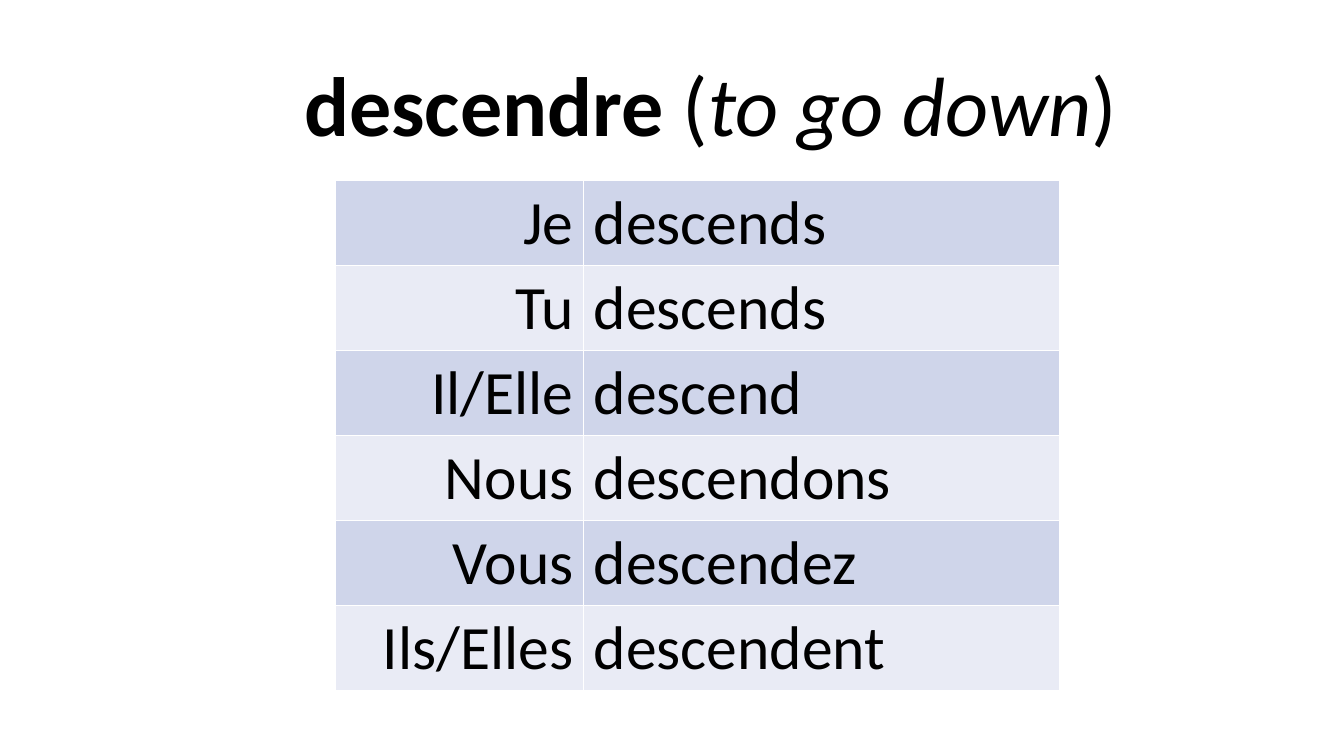
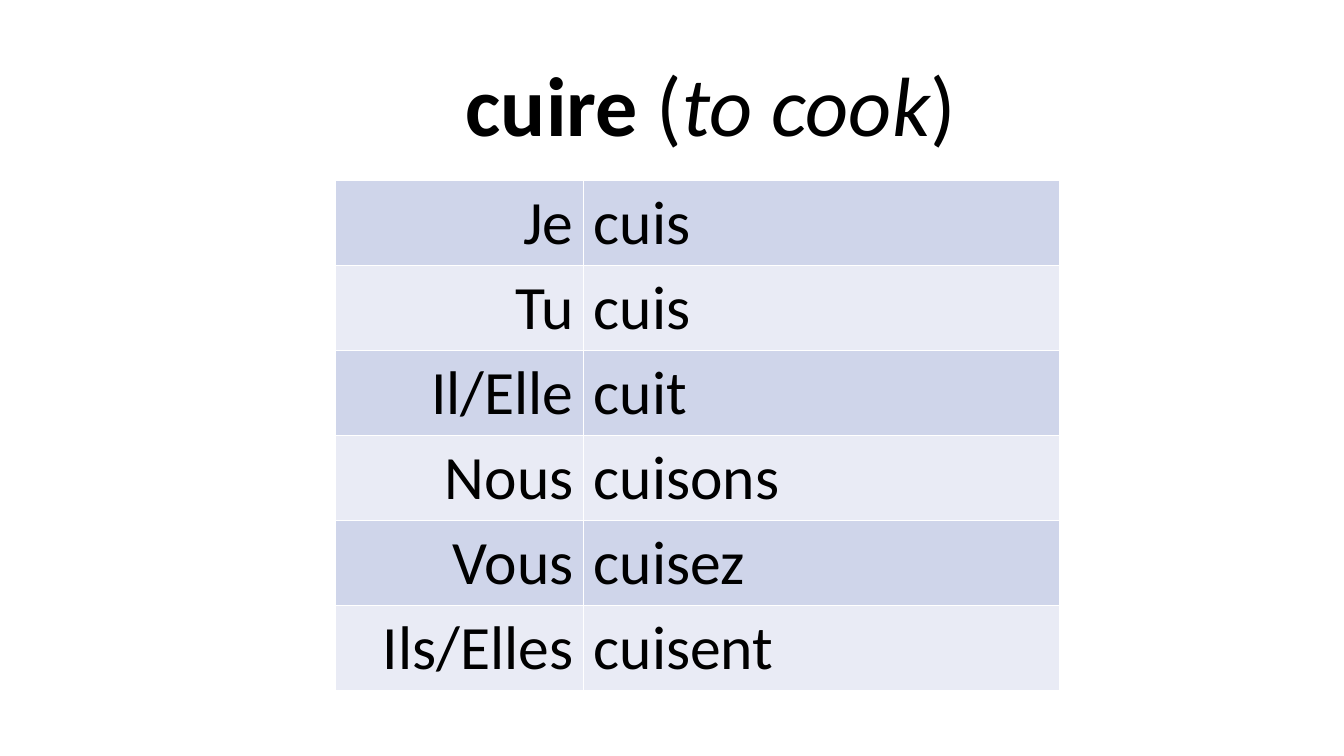
from lxml import etree
from pptx import Presentation
from pptx import util as u
from pptx.dml.color import RGBColor
from pptx.enum import text
from pptx.oxml import ns

PRONOUNS = ["Je", "Tu", "Il/Elle", "Nous", "Vous", "Ils/Elles"]
VERBS = [
    ("descendre", "to go down",
     ["descends", "descends", "descend", "descendons", "descendez", "descendent"]),
    ("cuire", "to cook",
     ["cuis", "cuis", "cuit", "cuisons", "cuisez", "cuisent"]),
]


def px(length):
    return u.Emu(length * 9525)


def color(value):
    return RGBColor.from_string(value)


class VerbDeck:
    """Holds the shared style and the current slide of a conjugation deck."""

    INK, RULE = "000000", "FFFFFF"
    BANDS = ["CFD5EA", "E9EBF5"]
    TITLE_BOX = (160, 42, 1034, 110)
    TABLE_LEFT, TABLE_TOP = 319, 172
    COLUMNS, ROW = [237, 453], 81
    ALIGNMENTS = [text.PP_ALIGN.RIGHT, text.PP_ALIGN.LEFT]

    def __init__(self):
        self.deck = Presentation()
        self.deck.slide_width, self.deck.slide_height = px(1280), px(720)
        self.slide = None

    def add_slide(self):
        self.slide = self.deck.slides.add_slide(self.deck.slide_layouts[6])

    def add_words(self, paragraph, words, size, **formats):
        run = paragraph.add_run()
        run.text = words
        for name, value in {"name": "Calibri", "size": u.Pt(size), **formats}.items():
            setattr(run.font, name, value)
        run.font.color.rgb = color(self.INK)

    def title(self, verb, meaning):
        frame = self.slide.shapes.add_textbox(*map(px, self.TITLE_BOX)).text_frame
        frame.word_wrap = True
        frame.vertical_anchor = text.MSO_ANCHOR.BOTTOM
        heading = frame.paragraphs[0]
        heading.alignment, heading.line_spacing = text.PP_ALIGN.CENTER, 0.9
        self.add_words(heading, verb, 60, bold=True)
        self.add_words(heading, " (", 60)
        self.add_words(heading, meaning, 60, italic=True)
        self.add_words(heading, ")", 60)

    def borders(self, cell):
        properties = cell._tc.get_or_add_tcPr()
        for side in ("lnL", "lnR", "lnT", "lnB"):
            line = etree.SubElement(properties, ns.qn(f"a:{side}"), w=str(u.Pt(1)))
            fill = etree.SubElement(line, ns.qn("a:solidFill"))
            etree.SubElement(fill, ns.qn("a:srgbClr"), val=self.RULE)

    def cell(self, cell, words, alignment, band):
        self.borders(cell)
        cell.fill.solid()
        cell.fill.fore_color.rgb = color(band)
        paragraph = cell.text_frame.paragraphs[0]
        paragraph.alignment = alignment
        self.add_words(paragraph, words, 44)

    def conjugation(self, forms):
        rows = list(zip(PRONOUNS, forms))
        table = self.slide.shapes.add_table(
            len(rows), len(self.COLUMNS), px(self.TABLE_LEFT), px(self.TABLE_TOP),
            px(sum(self.COLUMNS)), px(self.ROW * len(rows))).table
        table.first_row = table.horz_banding = False
        for column, width in zip(table.columns, self.COLUMNS):
            column.width = px(width)
        for r, row in enumerate(rows):
            for c, words in enumerate(row):
                self.cell(table.cell(r, c), words, self.ALIGNMENTS[c], self.BANDS[r % 2])


def main():
    verbs = VerbDeck()
    for verb, meaning, forms in VERBS:
        verbs.add_slide()
        verbs.title(verb, meaning)
        verbs.conjugation(forms)
    verbs.deck.save("out.pptx")


if __name__ == "__main__":
    main()
